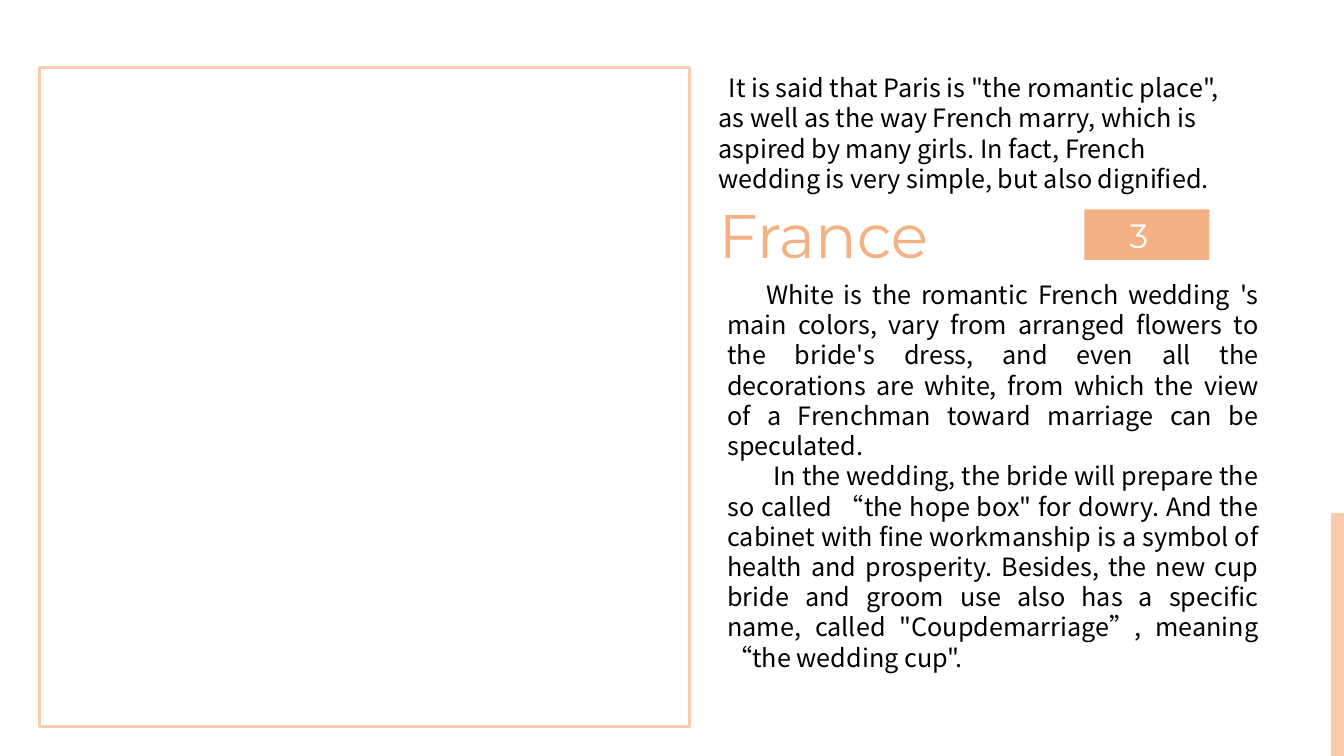
from dataclasses import dataclass

from lxml import etree
from pptx import Presentation
from pptx.dml.color import RGBColor
from pptx.enum.shapes import MSO_CONNECTOR as Connector, MSO_SHAPE as Shape
from pptx.enum.text import MSO_ANCHOR as Anchor, PP_ALIGN as Align
from pptx.oxml.ns import qn
from pptx.util import Cm, Pt

PEACH = RGBColor(0xF8, 0xCB, 0xAD)
ORANGE = RGBColor(0xF4, 0xB1, 0x83)
BLACK = RGBColor(0, 0, 0)
WHITE = RGBColor(0xFF, 0xFF, 0xFF)
TITLE_FONT = "Montserrat"
BODY_FONT = "Noto Sans CJK SC"

INTRO = (
    'It is said that Paris is "the romantic place", as well as the way French marry, '
    "which is aspired by many girls. In fact, French wedding is very simple, "
    "but also dignified."
)
COLORS = (
    "White is the romantic French wedding 's main colors, vary from arranged flowers "
    "to the bride's dress, and even all the decorations are white, from which the view "
    "of a Frenchman toward marriage can be speculated."
)
HOPE_BOX = (
    "In the wedding, the bride will prepare the so called “the hope box\" for dowry. "
    "And the cabinet with fine workmanship is a symbol of health and prosperity. "
    "Besides, the new cup bride and groom use also has a specific name, called "
    "\"Coupdemarriage”, meaning “the wedding cup\"."
)


@dataclass(frozen=True)
class Area:
    """Position and size in centimetres."""
    left: float
    top: float
    width: float
    height: float

    def lengths(self) -> tuple:
        return Cm(self.left), Cm(self.top), Cm(self.width), Cm(self.height)


@dataclass(frozen=True)
class TextBlock:
    area: Area
    paragraphs: tuple[tuple[str, float], ...]  # text and first-line indent in cm
    size: int = 18
    font: str = BODY_FONT
    color: RGBColor = BLACK
    align: Align = Align.LEFT


def write_text(frame, paragraphs, *, size: int, font: str, color: RGBColor,
               align: Align = Align.LEFT) -> None:
    frame.word_wrap = True
    for index, (text, indent) in enumerate(paragraphs):
        para = frame.paragraphs[0] if index == 0 else frame.add_paragraph()
        para.alignment = align
        properties = para._p.get_or_add_pPr()
        properties.set("marL", "0")
        properties.set("indent", str(Cm(indent)))
        span = para.add_run()
        span.text = text
        span.font.size, span.font.name = Pt(size), font
        span.font.color.rgb = color
        east_asian = etree.SubElement(span._r.get_or_add_rPr(), qn("a:ea"))
        east_asian.set("typeface", font)


def add_text(page, block: TextBlock) -> None:
    box = page.shapes.add_textbox(*block.area.lengths())
    write_text(box.text_frame, block.paragraphs, size=block.size, font=block.font,
               color=block.color, align=block.align)


def add_rectangle(page, area: Area):
    box = page.shapes.add_shape(Shape.RECTANGLE, *area.lengths())
    box.shadow.inherit = False
    box.fill.background()
    box.line.fill.background()
    return box


deck = Presentation()
deck.slide_width, deck.slide_height = Cm(33.87), Cm(19.05)
page = deck.slides.add_slide(deck.slide_layouts[6])

# Empty frame on the left
photo_frame = add_rectangle(page, Area(0.99, 1.7, 16.38, 16.61))
photo_frame.line.color.rgb = PEACH
photo_frame.line.width = Pt(2.25)

# Accent bar at the right edge
accent = page.shapes.add_connector(Connector.STRAIGHT, Cm(33.73), Cm(12.93),
                                   Cm(33.73), Cm(19.05))
accent.line.color.rgb = PEACH
accent.line.width = Pt(10.25)
etree.SubElement(accent._element.spPr, qn("a:effectLst"))

# Number badge
badge = add_rectangle(page, Area(27.33, 5.28, 3.15, 1.27))
badge.fill.solid()
badge.fill.fore_color.rgb = ORANGE
badge.text_frame.vertical_anchor = Anchor.MIDDLE
write_text(badge.text_frame, [("3", 0.88)], size=24, font=TITLE_FONT, color=WHITE)

# Title and body text
for block in (
    TextBlock(Area(17.86, 4.85, 8.99, 2.13), (("France", 0),), 44, TITLE_FONT, ORANGE),
    TextBlock(Area(17.86, 1.7, 13.51, 3.33), ((INTRO, 0.26),)),
    TextBlock(Area(18.08, 6.91, 13.89, 8.71), ((COLORS, 0.99), (HOPE_BOX, 1.16)),
              align=Align.JUSTIFY),
):
    add_text(page, block)

deck.save("out.pptx")
